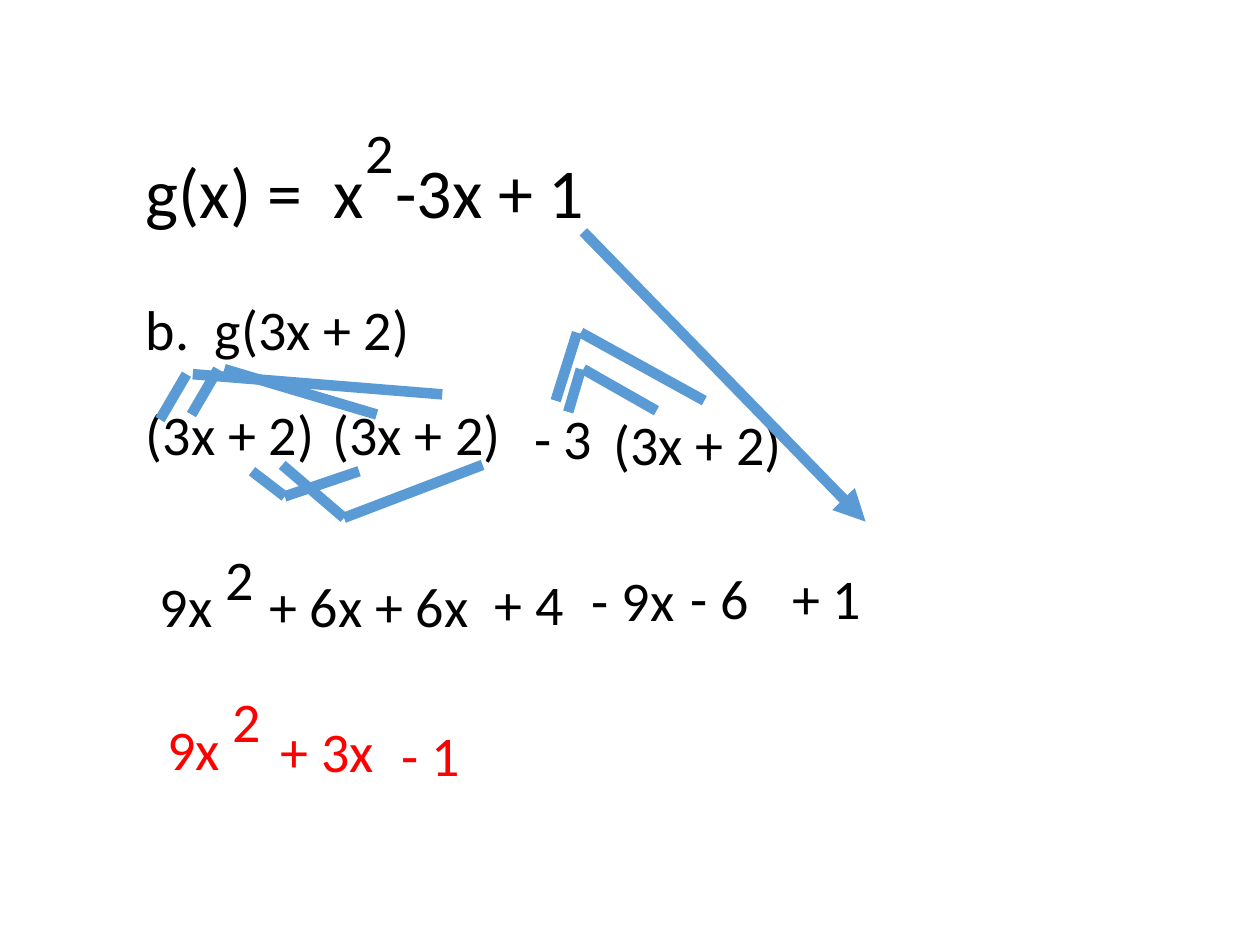
from lxml import etree
from pptx import Presentation
from pptx.dml.color import RGBColor
from pptx.enum.shapes import MSO_CONNECTOR
from pptx.enum.text import MSO_AUTO_SIZE
from pptx.oxml.ns import qn
from pptx.util import Emu, Pt

EMU_PER_PX = 9144
STRAIGHT = MSO_CONNECTOR.STRAIGHT
GROW = MSO_AUTO_SIZE.SHAPE_TO_FIT_TEXT
BLACK = RGBColor(0x00, 0x00, 0x00)
RED = RGBColor(0xFF, 0x00, 0x00)
BLUE = RGBColor(0x5B, 0x9B, 0xD5)
FONT = "Calibri"
TERM_SIZE = 32
TITLE_SIZE = 40

PROBLEM = [
    ("b.  g(3x + 2)", 106, 229, 296),
    ("(3x + 2)", 106, 312, 175),
    ("(3x + 2)", 254, 312, 175),
    ("- 3", 414, 315, 79),
    ("(3x + 2)", 477, 320, 161),
]
EXPANSION = [
    ("9x", 117, 449, 77),
    ("2", 169, 427, 39),
    ("+ 6x", 204, 449, 100),
    ("+ 6x", 288, 449, 100),
    ("+ 4", 383, 447, 100),
    ("- 9x", 460, 444, 100),
    ("- 6", 538, 442, 100),
    ("+ 1", 619, 442, 100),
]
ANSWER = [
    ("9x", 123, 562, 77),
    ("2", 175, 540, 39),
    ("+ 3x", 213, 564, 103),
    ("- 1", 309, 567, 79),
]
PRODUCT_LINKS = [
    ((152, 329), (173, 293)),
    ((178, 293), (299, 329)),
    ((127, 333), (148, 297)),
    ((153, 297), (351, 313)),
    ((200, 374), (226, 394)),
    ((285, 374), (226, 394)),
    ((224, 369), (273, 411)),
    ((383, 369), (273, 411)),
    ((451, 327), (461, 293)),
    ((521, 326), (463, 293)),
    ((441, 318), (458, 264)),
    ((559, 318), (461, 264)),
]


def px(value):
    return Emu(value * EMU_PER_PX)


def add_term(slide, text, left, top, width, height=64, size=TERM_SIZE, color=BLACK):
    box = slide.shapes.add_textbox(px(left), px(top), px(width), px(height))
    text_frame = box.text_frame
    text_frame.word_wrap = True
    text_frame.auto_size = GROW
    text_frame.text = text
    font = text_frame.paragraphs[0].runs[0].font
    font.name = FONT
    font.size = Pt(size)
    font.color.rgb = color


def add_link(slide, start, end, arrow=False):
    connector = slide.shapes.add_connector(
        STRAIGHT, px(start[0]), px(start[1]), px(end[0]), px(end[1])
    )
    connector.line.color.rgb = BLUE
    connector.line.width = Pt(6)
    if arrow:
        line = connector.line._get_or_add_ln()
        etree.SubElement(line, qn("a:tailEnd"), type="triangle")
    etree.SubElement(connector._element.spPr, qn("a:effectLst"))


def main():
    presentation = Presentation()
    presentation.slide_width = px(1000)
    presentation.slide_height = px(750)
    slide = presentation.slides.add_slide(presentation.slide_layouts[6])

    add_term(slide, "g(x) =  x  -3x + 1", 106, 113, 387, 77, TITLE_SIZE)
    add_term(slide, "2", 280, 88, 58)
    for term in PROBLEM + EXPANSION:
        add_term(slide, *term)
    for start, end in PRODUCT_LINKS:
        add_link(slide, start, end)
    add_link(slide, (463, 184), (687, 414), arrow=True)
    for term in ANSWER:
        add_term(slide, *term, color=RED)

    presentation.save("out.pptx")


if __name__ == "__main__":
    main()
